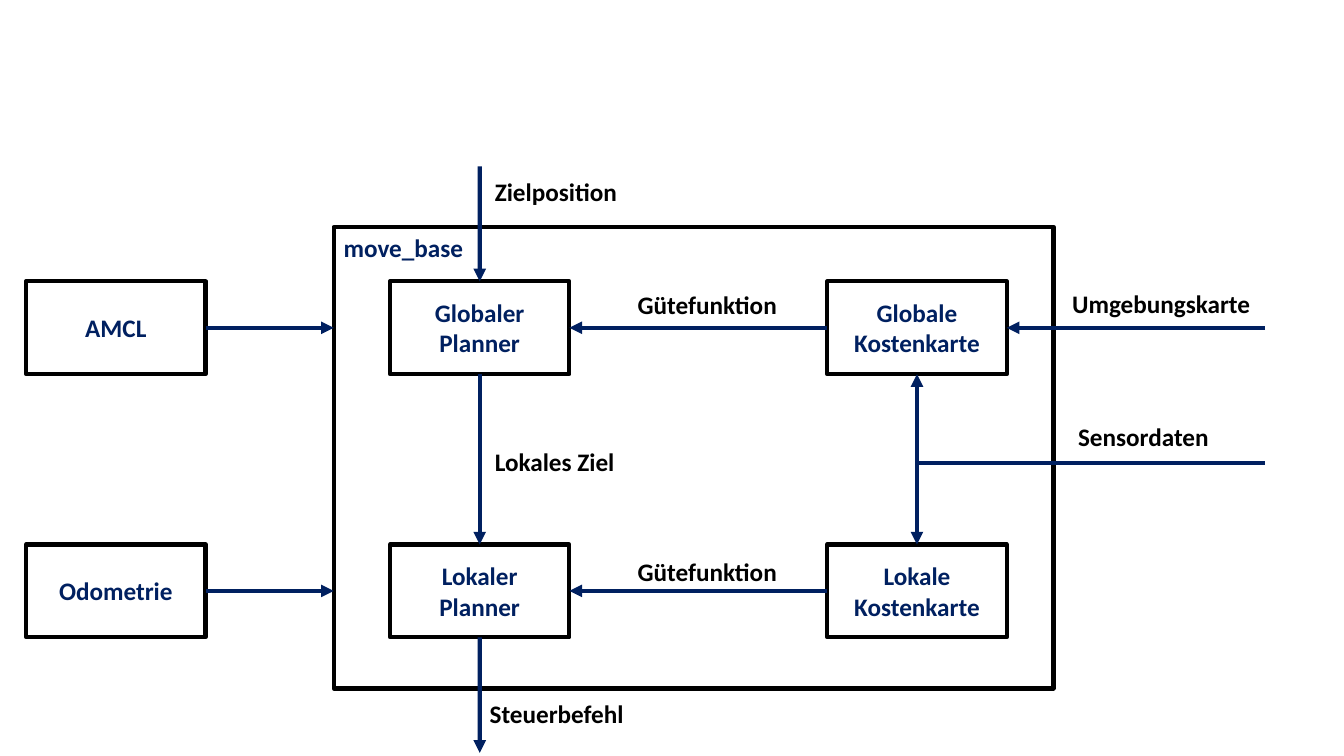
from lxml import etree
from pptx import Presentation
from pptx.dml.color import RGBColor
from pptx.enum.shapes import MSO_CONNECTOR, MSO_SHAPE
from pptx.enum.text import MSO_ANCHOR, PP_ALIGN
from pptx.oxml.ns import qn
from pptx.util import Cm, Pt

NAVY, BLACK, WHITE = "002060", "000000", "FFFFFF"

# Content: grid of boxes, as text, column, row
COLS = (0.66, 9.83, 20.85)
ROWS = (7.09, 13.72)
WIDE, HIGH = 4.52, 2.34
BOXES = {
    "amcl": ("AMCL", 0, 0),
    "odom": ("Odometrie", 0, 1),
    "gplan": ("Globaler Planner", 1, 0),
    "lplan": ("Lokaler\nPlanner", 1, 1),
    "gcost": ("Globale Kostenkarte", 2, 0),
    "lcost": ("Lokale Kostenkarte", 2, 1),
}
FRAME = ("move_base", 8.41, 5.72, 18.14, 11.63)

# Labels: text, left, top, width
LABELS = [
    ("Zielposition", 12.22, 4.32, 4.27),
    ("Lokales Ziel", 12.22, 11.13, 4.27),
    ("Steuerbefehl", 12.09, 17.48, 4.27),
    ("Umgebungskarte", 26.77, 7.14, 5.03),
    ("Sensordaten", 26.92, 10.49, 5.03),
    ("Gütefunktion", 15.82, 7.16, 5.03),
    ("Gütefunktion", 15.82, 13.89, 5.03),
]

# Arrows: an end is a box with a side, or a point
TOP, LEFT, BOTTOM, RIGHT = range(4)
PLAN, COST = (x + WIDE / 2 for x in COLS[1:])
MID = [y + HIGH / 2 for y in ROWS]
EDGE, SENSOR = 31.88, 11.66
ARROWS = [
    (("amcl", RIGHT), (FRAME[1], MID[0])),
    (("odom", RIGHT), (FRAME[1], MID[1])),
    ((PLAN, 4.19), ("gplan", TOP)),
    (("gplan", BOTTOM), ("lplan", TOP)),
    (("lplan", BOTTOM), (PLAN, 18.97)),
    (("gcost", LEFT), ("gplan", RIGHT)),
    (("lcost", LEFT), ("lplan", RIGHT)),
    ((EDGE, MID[0]), ("gcost", RIGHT)),
]
BENDS = [
    ((EDGE, SENSOR), (COST, ROWS[0] + HIGH)),
    ((EDGE, SENSOR), (COST, ROWS[1])),
]

deck = Presentation()
deck.slide_width, deck.slide_height = Cm(33.87), Cm(19.05)
shapes = deck.slides.add_slide(deck.slide_layouts[6]).shapes


def color(code):
    return RGBColor.from_string(code)


def write(shape, text, tint, align, anchor):
    frame = shape.text_frame
    frame.word_wrap = True
    frame.vertical_anchor = anchor
    for i, line in enumerate(text.split("\n")):
        para = frame.add_paragraph() if i else frame.paragraphs[0]
        para.alignment = align
        run = para.add_run()
        run.text = line
        font = run.font
        font.name, font.size, font.bold = "Calibri", Pt(18), True
        font.color.rgb = color(tint)


def box(text, x, y, w, h, align=PP_ALIGN.CENTER, anchor=MSO_ANCHOR.MIDDLE):
    shape = shapes.add_shape(MSO_SHAPE.RECTANGLE, Cm(x), Cm(y), Cm(w), Cm(h))
    shape.shadow.inherit = False
    shape.fill.solid()
    shape.fill.fore_color.rgb = color(WHITE)
    shape.line.color.rgb = color(BLACK)
    shape.line.width = Pt(3)
    write(shape, text, NAVY, align, anchor)
    return shape


def arrow(start, end, bent=False):
    kind = MSO_CONNECTOR.ELBOW if bent else MSO_CONNECTOR.STRAIGHT
    spots = [(0, 0) if p[0] in boxes else p for p in (start, end)]
    link = shapes.add_connector(kind, *(Cm(v) for p in spots for v in p))
    if start[0] in boxes:
        link.begin_connect(boxes[start[0]], start[1])
    if end[0] in boxes:
        link.end_connect(boxes[end[0]], end[1])
    link.line.color.rgb = color(NAVY)
    link.line.width = Pt(3)
    props = link._element.spPr
    if bent:
        props.find(qn("a:prstGeom")).set("prst", "bentConnector2")
    etree.SubElement(props.find(qn("a:ln")), qn("a:tailEnd"), type="triangle")
    etree.SubElement(props, qn("a:effectLst"))


# Frame and boxes
box(*FRAME, PP_ALIGN.LEFT, MSO_ANCHOR.TOP)
boxes = {key: box(text, COLS[c], ROWS[r], WIDE, HIGH)
         for key, (text, c, r) in BOXES.items()}

# Arrows
for start, end in ARROWS:
    arrow(start, end)
for start, end in BENDS:
    arrow(start, end, bent=True)

# Labels
for text, x, y, w in LABELS:
    label = shapes.add_textbox(Cm(x), Cm(y), Cm(w), Cm(1.03))
    write(label, text, BLACK, PP_ALIGN.LEFT, MSO_ANCHOR.TOP)

deck.save("out.pptx")
